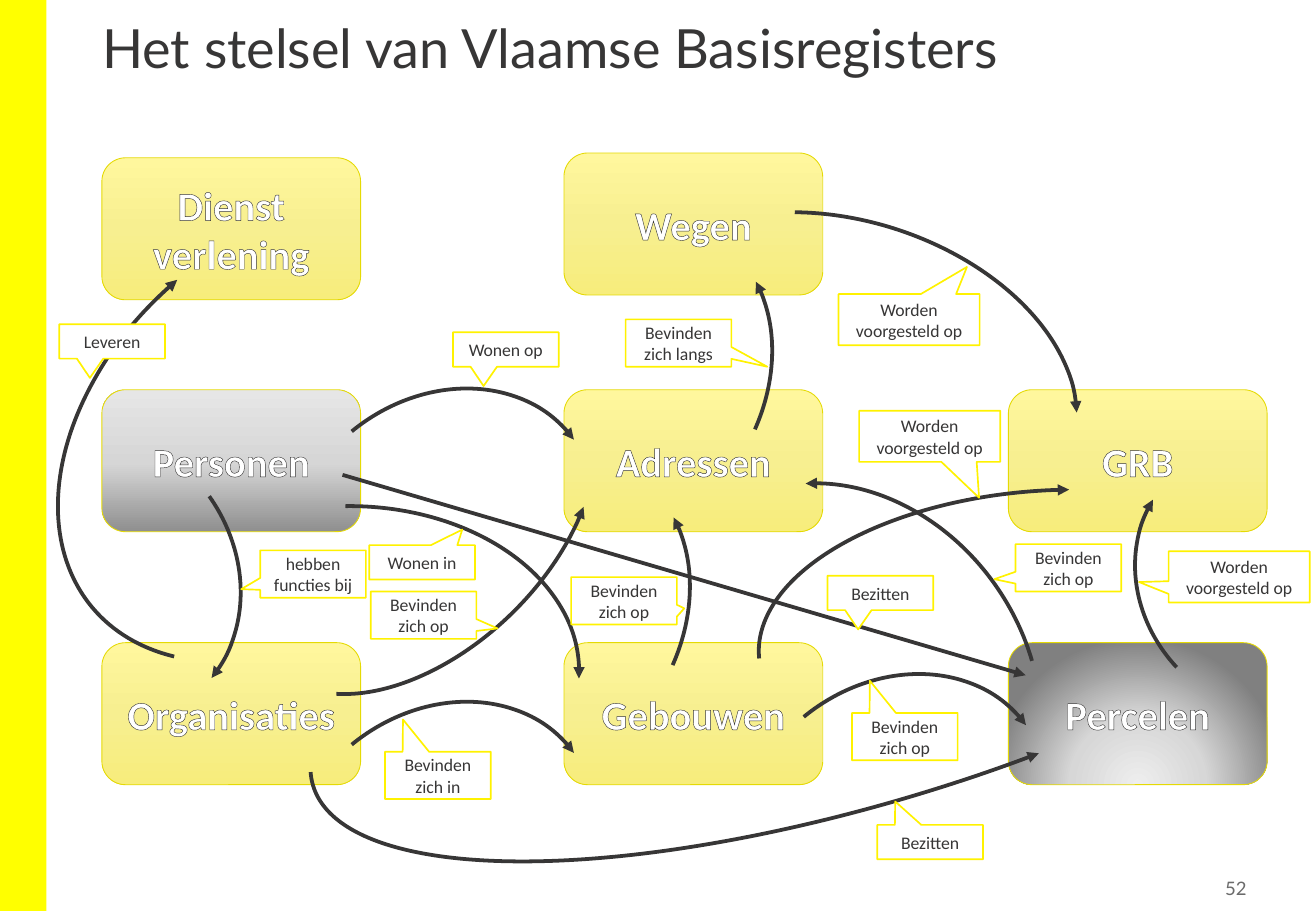
import pptx
import pptx.dml.color
import pptx.enum.shapes
import pptx.enum.text
import pptx.oxml
import pptx.oxml.ns
import pptx.util

Cm, Pt = pptx.util.Cm, pptx.util.Pt
qn = pptx.oxml.ns.qn
Kind = pptx.enum.shapes.MSO_SHAPE
Align = pptx.enum.text.PP_ALIGN
Anchor = pptx.enum.text.MSO_ANCHOR
NS = pptx.oxml.ns.nsdecls("a")

HUES = {"bar": "FFFF00", "ink": "373636", "white": "FFFFFF",
        "edge": "E5DA04", "note": "FFF200", "page": "6B6B6B"}

# Gradients: stops, then direction
DOWN = '<a:lin ang="5400000" scaled="0"/>'
UP = '<a:lin ang="16200000" scaled="0"/>'
GLOW = ('<a:path path="circle"><a:fillToRect l="50000" t="130000" '
        'r="50000" b="-30000"/></a:path>')
FADES = {
    "gold": ([(0, "FFF79D"), (50, "F7EF90"), (100, "F7ED7C")], DOWN),
    "grey": ([(0, "8F8F8F"), (48, "D6D6D6"), (100, "E6E6E6")], UP),
    "glow": ([(0, "EEEEEE"), (46, "D7D7D7"), (100, "808080")], GLOW),
}

# Registers: text, left, top, gradient
LEFT, MID, RIGHT = 2.13, 11.79, 21.08
BOXES = [
    ("Dienst\nverlening", LEFT, 3.3, "gold"),
    ("Wegen", MID, 3.2, "gold"),
    ("Personen", LEFT, 8.15, "grey"),
    ("Adressen", MID, 8.15, "gold"),
    ("GRB", RIGHT, 8.15, "gold"),
    ("Organisaties", LEFT, 13.44, "gold"),
    ("Gebouwen", MID, 13.44, "gold"),
    ("Percelen", RIGHT, 13.44, "glow"),
]

# Curved arrows: left, top, width, height, turn, flip, start, end
ARCS = [
    (10.03, 4.39, 5.84, 7.39, 34.7, "", 172.64, 205.71),
    (-0.97, 8.71, 5.84, 6.6, 320, "V", 167.27, 212.37),
    (5.99, 8.84, 24.71, 7.85, 342.7, "HV", 143.3, 0.83),
    (6.3, 7.8, 5.84, 6.93, 231.6, "V", 161, 0.83),
    (15.75, 13.77, 5.84, 6.93, 231.6, "V", 161, 0.83),
    (6.3, 14.35, 5.84, 6.93, 231.6, "V", 161, 0.83),
    (4.57, 8.41, 8.59, 5.18, 316.1, "HV", 130.25, 204.88),
    (23.9, 9.07, 5.49, 6.1, 132.1, "V", 167.27, 212.37),
    (15.85, 10.26, 12.04, 6.1, 176.1, "V", 154.35, 0.29),
    (3.84, 9.25, 6.93, 9.6, 270, "V", 161, 0.83),
    (14.43, 2.95, 6.53, 9.88, 287.5, "V", 167.27, 20.95),
    (8.31, 9.32, 5.84, 7.39, 34.7, "", 172.64, 205.71),
    (14.05, 9.86, 7.44, 9.04, 145.1, "HV", 175.58, 15.9),
    (0.56, 4.85, 11.66, 8.2, 139.8, "V", 162.44, 11.93),
]

# Callouts: text, left, top, size, tip across, tip down
SMALL, TALL, WIDE = (2.21, 0.72), (2.21, 0.99), (2.95, 1.07)
NOTES = [
    ("Bezitten", 17.3, 12.04, SMALL, -0.21, 1.06),
    ("Wonen op", 9.47, 6.95, SMALL, -0.21, 1.06),
    ("Bezitten", 18.34, 17.25, SMALL, -0.33, -1.18),
    ("Bevinden zich op", 17.81, 14.91, TALL, -0.33, -1.18),
    ("Bevinden zich in", 8.05, 15.72, TALL, -0.33, -1.18),
    ("Bevinden zich op", 7.75, 12.37, TALL, 0.7, 0.28),
    ("hebben functies bij", 5.44, 11.51, TALL, -0.68, 0.32),
    ("Bevinden zich langs", 13.08, 6.68, TALL, 0.84, 0.5),
    ("Worden voorgesteld op", 17.96, 8.59, WIDE, 0.35, 1.2),
    ("Worden voorgesteld op", 24.43, 11.53, WIDE, -0.71, 0.1),
    ("Wonen in", 7.72, 11.4, SMALL, 0.38, -0.95),
    ("Worden voorgesteld op", 17.53, 6.15, WIDE, 0.41, -1.03),
    ("Bevinden zich op", 11.94, 12.07, TALL, 0.57, 0.16),
    ("Bevinden zich op", 21.23, 11.38, TALL, -0.7, 0.24),
    ("Leveren", 1.24, 6.78, SMALL, -0.21, 1.06),
]


def hue(name):
    return pptx.dml.color.RGBColor.from_string(HUES[name])


def write(shape, text, size=10.5, font="Calibri", color="ink", bold=False,
          align=Align.CENTER, anchor=Anchor.MIDDLE, rim=False):
    frame = shape.text_frame
    frame.word_wrap = True
    frame.vertical_anchor = anchor
    para = frame.paragraphs[0]
    para.text = text
    para.alignment = align
    for run in para.runs:
        run.font.size = Pt(size)
        run.font.name = font
        run.font.bold = bold
        run.font.color.rgb = hue(color)
        if rim:
            run.font._element.insert(0, pptx.oxml.parse_xml(
                f'<a:ln {NS} w="6600"><a:solidFill><a:srgbClr '
                f'val="{HUES["ink"]}"/></a:solidFill></a:ln>'))
    return para


def stroke(shape, color, width):
    shape.line.color.rgb = hue(color)
    shape.line.width = Pt(width)


def draw(slide, kind, x, y, w, h, fill=None):
    shape = slide.shapes.add_shape(kind, Cm(x), Cm(y), Cm(w), Cm(h))
    shape.shadow.inherit = False
    if fill:
        shape.fill.solid()
        shape.fill.fore_color.rgb = hue(fill)
    else:
        shape.fill.background()
    return shape


def tip(shape, end):
    line = shape._element.spPr.find(qn("a:ln"))
    line.append(pptx.oxml.parse_xml(f'<a:{end} {NS} type="triangle"/>'))


def box(slide, text, x, y, fade):
    shape = draw(slide, Kind.ROUNDED_RECTANGLE, x, y, 5.41, 2.97)
    stops, way = FADES[fade]
    marks = "".join(f'<a:gs pos="{pos * 1000}"><a:srgbClr val="{tone}"/></a:gs>'
                    for pos, tone in stops)
    props = shape._element.spPr
    props.replace(props.find(qn("a:noFill")), pptx.oxml.parse_xml(
        f'<a:gradFill {NS} rotWithShape="1"><a:gsLst>{marks}</a:gsLst>'
        f'{way}</a:gradFill>'))
    stroke(shape, "edge", 0.5)
    write(shape, text, size=24, color="white", bold=True, rim=True)


def arc(slide, x, y, w, h, turn, flip, start, end):
    shape = draw(slide, Kind.ARC, x, y, w, h)
    shape.adjustments[0] = start
    shape.adjustments[1] = end
    shape.rotation = turn
    for axis in flip:
        shape._element.spPr.find(qn("a:xfrm")).set("flip" + axis, "1")
    stroke(shape, "ink", 2.25)
    tip(shape, "headEnd")


def arrow(slide, x1, y1, x2, y2):
    line = slide.shapes.add_connector(pptx.enum.shapes.MSO_CONNECTOR.STRAIGHT,
                                      Cm(x1), Cm(y1), Cm(x2), Cm(y2))
    stroke(line, "ink", 2.25)
    tip(line, "tailEnd")
    line._element.spPr.append(pptx.oxml.parse_xml(f"<a:effectLst {NS}/>"))


def note(slide, text, x, y, size, dx, dy):
    shape = draw(slide, Kind.RECTANGULAR_CALLOUT, x, y, *size, fill="white")
    shape.adjustments[0] = dx
    shape.adjustments[1] = dy
    stroke(shape, "note", 1)
    write(shape, text)


def head(slide, text):
    title = slide.shapes.title
    title.left, title.top = Cm(1.88), Cm(0.33)
    title.width, title.height = Cm(23.72), Cm(2.74)
    para = write(title, text, size=32, font="Lato", align=Align.LEFT,
                 anchor=Anchor.TOP)
    para.line_spacing = 0.9
    title.text_frame.auto_size = pptx.enum.text.MSO_AUTO_SIZE.NONE


def page(slide, text):
    area = slide.shapes.add_textbox(Cm(24.13), Cm(18.21), Cm(2.06), Cm(0.74))
    frame = area.text_frame
    frame.margin_left = frame.margin_right = Cm(0.13)
    frame.margin_top = frame.margin_bottom = Cm(0.13)
    write(area, text, size=11, font="Lato", color="page", align=Align.RIGHT)


def main():
    deck = pptx.Presentation()
    deck.slide_width, deck.slide_height = Cm(27.51), Cm(19.05)
    slide = deck.slides.add_slide(deck.slide_layouts[5])

    # Side bar and title
    bar = draw(slide, Kind.RECTANGLE, 0, 0, 0.97, 19.05, fill="bar")
    bar.line.fill.background()
    head(slide, "Het stelsel van Vlaamse Basisregisters")

    # Registers, their relations and the labels on top
    for item in BOXES:
        box(slide, *item)
    arrow(slide, 7.16, 9.93, 21.44, 14.12)
    for item in ARCS:
        arc(slide, *item)
    for item in NOTES:
        note(slide, *item)

    # Page number
    page(slide, "52")
    deck.save("out.pptx")


if __name__ == "__main__":
    main()
